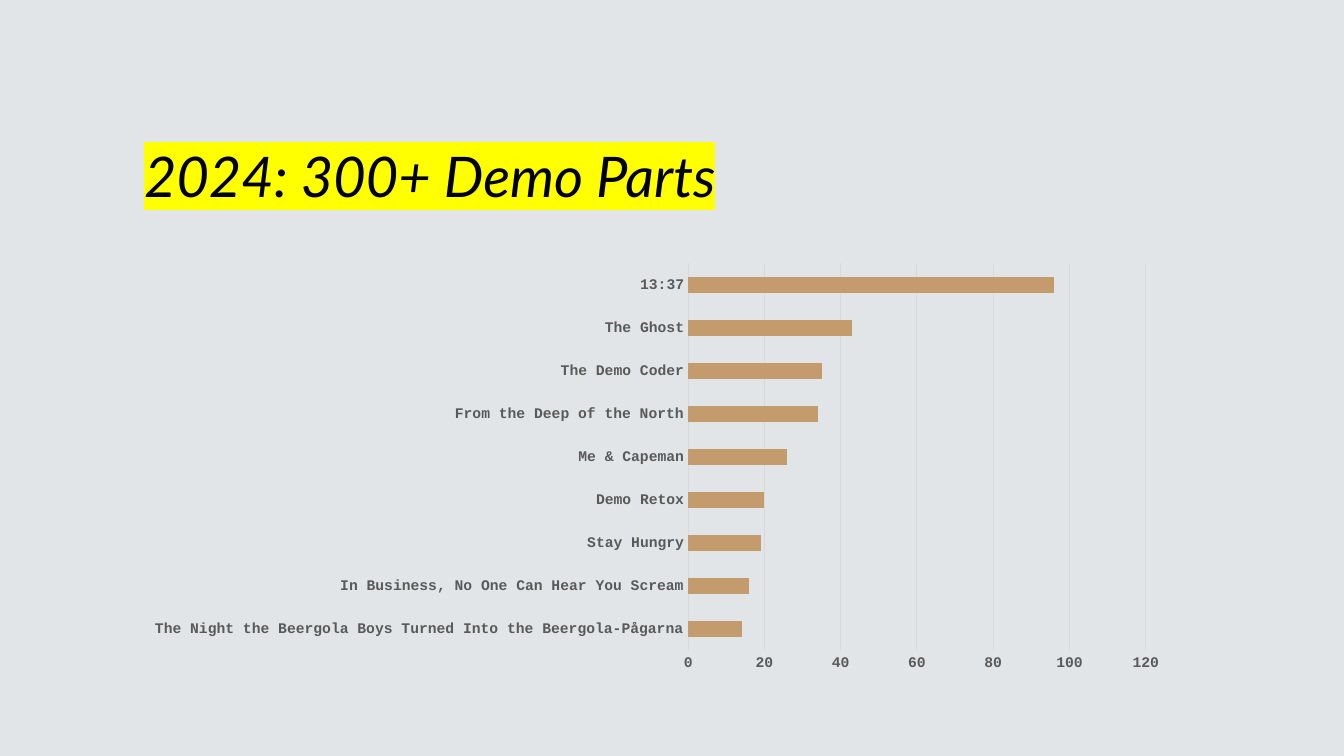
from lxml.etree import SubElement
from pptx import Presentation
from pptx.chart.data import CategoryChartData
from pptx.dml.color import RGBColor
from pptx.enum.chart import XL_CHART_TYPE, XL_TICK_MARK
from pptx.enum.text import MSO_ANCHOR, MSO_AUTO_SIZE, PP_ALIGN
from pptx.oxml.ns import qn
from pptx.util import Pt

PAGE_WIDTH, PAGE_HEIGHT = 1344, 756
SCALE = 12192000 / PAGE_WIDTH  # EMU per px

COLORS = {
    "background": "E2E5E8",
    "title": "000000",
    "highlight": "FFFF00",
    "label": "595959",
    "grid": "D9D9D9",
    "bar": "C49B6D",
}
TITLE_FONT = "Lato"
CHART_FONT = "Courier New"

# Demo parts from the bottom bar to the top bar
PART_COUNTS = {
    "The Night the Beergola Boys Turned Into the Beergola-Pågarna": 14,
    "In Business, No One Can Hear You Scream": 16,
    "Stay Hungry": 19,
    "Demo Retox": 20,
    "Me & Capeman": 26,
    "From the Deep of the North": 34,
    "The Demo Coder": 35,
    "The Ghost": 43,
    "13:37": 96,
}


def px(length):
    return round(length * SCALE)


def color(name):
    return RGBColor.from_string(COLORS[name])


def add_title(page, box, text):
    title = page.shapes.title
    title.left, title.top, title.width, title.height = map(px, box)
    frame = title.text_frame
    frame.word_wrap = True
    frame.auto_size = MSO_AUTO_SIZE.NONE
    frame.vertical_anchor = MSO_ANCHOR.BOTTOM
    para = frame.paragraphs[0]
    para.alignment = PP_ALIGN.LEFT
    para.line_spacing = 1.2
    span = para.add_run()
    span.text = text
    span.font.size = Pt(40)
    span.font.italic = True
    span.font.color.rgb = color("title")
    # The highlight belongs between the text fill and the font name
    highlight = SubElement(span.font._element, qn("a:highlight"))
    SubElement(highlight, qn("a:srgbClr")).set("val", COLORS["highlight"])
    span.font.name = TITLE_FONT


def style_font(font, color_name):
    font.name = CHART_FONT
    font.size = Pt(10.5)
    font.bold = True
    font.color.rgb = color(color_name)


def style_line(line):
    line.color.rgb = color("grid")
    line.width = Pt(0.75)


def add_parts_chart(page, box, counts):
    data = CategoryChartData()
    data.categories = list(counts)
    data.add_series("Series 1", list(counts.values()))
    chart = page.shapes.add_chart(
        XL_CHART_TYPE.BAR_CLUSTERED, *map(px, box), data).chart
    chart.has_legend = False
    chart.has_title = False
    style_font(chart.font, "title")

    # Bars
    plot = chart.plots[0]
    plot.gap_width = 182
    plot.vary_by_categories = False
    fill = plot.series[0].format.fill
    fill.solid()
    fill.fore_color.rgb = color("bar")

    # Axes
    for axis in (chart.category_axis, chart.value_axis):
        axis.major_tick_mark = XL_TICK_MARK.NONE
        axis.minor_tick_mark = XL_TICK_MARK.NONE
        style_font(axis.tick_labels.font, "label")
    style_line(chart.category_axis.format.line)
    chart.value_axis.format.line.fill.background()
    chart.value_axis.has_major_gridlines = True
    style_line(chart.value_axis.major_gridlines.format.line)


def main():
    deck = Presentation()
    deck.slide_width, deck.slide_height = px(PAGE_WIDTH), px(PAGE_HEIGHT)
    page = deck.slides.add_slide(deck.slide_layouts[5])
    page.background.fill.solid()
    page.background.fill.fore_color.rgb = color("background")
    add_title(page, (134, 40, 1046, 174), "2024: 300+ Demo Parts")
    add_parts_chart(page, (134, 255, 1046, 425), PART_COUNTS)
    deck.save("out.pptx")


if __name__ == "__main__":
    main()
